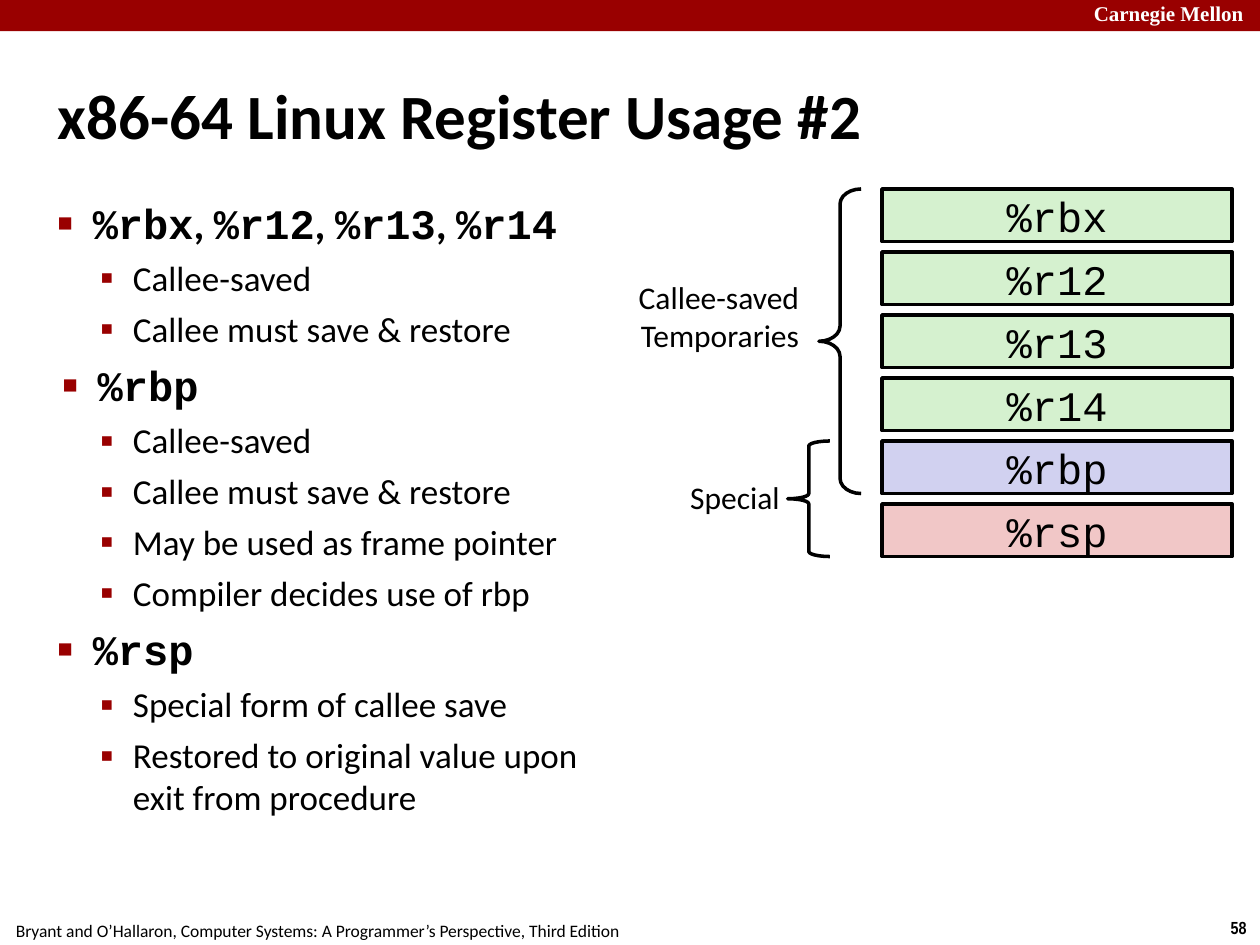
import pptx
import pptx.util
import pptx.dml.color
import pptx.enum.shapes
import pptx.enum.text
import pptx.oxml.ns
import lxml.etree

Cm, Pt = pptx.util.Cm, pptx.util.Pt
RGB = pptx.dml.color.RGBColor
SHAPE = pptx.enum.shapes.MSO_SHAPE
ALIGN = pptx.enum.text.PP_ALIGN
ANCHOR = pptx.enum.text.MSO_ANCHOR
FIT = pptx.enum.text.MSO_AUTO_SIZE

BLACK = RGB(0x00, 0x00, 0x00)
WHITE = RGB(0xFF, 0xFF, 0xFF)
RED = RGB(0x99, 0x00, 0x00)
GREEN = RGB(0xD5, 0xF1, 0xCF)
BLUE = RGB(0xD1, 0xD1, 0xF0)
PINK = RGB(0xF1, 0xC7, 0xC7)
SANS, MONO = "Calibri", "Courier New"
EDGE = 0.1

HEADS = {
    "%rbx, %r12, %r13, %r14": ["Callee-saved", "Callee must save & restore"],
    "%rbp": ["Callee-saved", "Callee must save & restore",
             "May be used as frame pointer", "Compiler decides use of rbp"],
    "%rsp": ["Special form of callee save",
             "Restored to original value upon exit from procedure"],
}
CELLS = {"%rbx": GREEN, "%r12": GREEN, "%r13": GREEN, "%r14": GREEN,
         "%rbp": BLUE, "%rsp": PINK}


def write(par, text, size=18, face=SANS, color=BLACK, bold=False, align=ALIGN.LEFT):
    """Add a formatted run to a paragraph."""
    par.alignment = align
    run = par.add_run()
    run.text = text
    run.font.size, run.font.name, run.font.bold = Pt(size), face, bold
    run.font.color.rgb = color


def pad(frame, side, end):
    """Set the side and end margins of a text frame."""
    frame.margin_left = frame.margin_right = Cm(side)
    frame.margin_top = frame.margin_bottom = Cm(end)


def place(shape, box):
    """Move a shape to a box given in centimetres."""
    shape.left, shape.top, shape.width, shape.height = map(Cm, box)


def label(slide, box, lines, side=EDGE, end=EDGE, wrap=False, **form):
    """Add a text box with one paragraph for each line."""
    frame = slide.shapes.add_textbox(*map(Cm, box)).text_frame
    pad(frame, side, end)
    frame.word_wrap = wrap
    for i, line in enumerate(lines):
        par = frame.add_paragraph() if i else frame.paragraphs[0]
        write(par, line, **form)


def block(slide, kind, box, fill=None, edge=True):
    """Add a flat shape with an optional fill and black outline."""
    shape = slide.shapes.add_shape(kind, *map(Cm, box))
    shape.shadow.inherit = False
    if fill is None:
        shape.fill.background()
    else:
        shape.fill.solid()
        shape.fill.fore_color.rgb = fill
    if edge:
        shape.line.color.rgb, shape.line.width = BLACK, Pt(2)
    else:
        shape.line.fill.background()
    return shape


def indent(par, left, hang):
    """Set the left margin and hanging indent of a paragraph."""
    props = par._p.get_or_add_pPr()
    props.set("marL", str(Cm(left)))
    props.set("indent", str(-Cm(hang)))
    return props


def bullet(par, mark, size, left, hang):
    """Give a paragraph a red bullet and a hanging indent."""
    props = indent(par, left, hang)
    name = pptx.oxml.ns.qn
    tint = lxml.etree.SubElement(props, name("a:buClr"))
    lxml.etree.SubElement(tint, name("a:srgbClr"), val=str(RED))
    lxml.etree.SubElement(props, name("a:buSzPct"), val=str(size * 1000))
    lxml.etree.SubElement(props, name("a:buChar"), char=mark)


def frame_page(slide, box):
    """Draw the top bar, the source line and the page number."""
    x, y, w, h = box
    label(slide, (x + w - 0.86, y + h - 0.69, 0.86, 0.69), ["58"], 0.25, 0.13,
          size=10, face="Arial Narrow", bold=True, align=ALIGN.CENTER)
    label(slide, (x - 0.05, y + h - 0.64, 12.9, 0.69),
          ["Bryant and O’Hallaron, Computer Systems: "
           "A Programmer’s Perspective, Third Edition"],
          0.25, 0.13, size=10, align=ALIGN.CENTER)
    block(slide, SHAPE.RECTANGLE, (x, y, w, 0.63), RED, False)
    label(slide, (x + w - 3.45, y - 0.08, 3.65, 0.71), ["Carnegie Mellon"],
          wrap=True, size=12, face="Times New Roman", color=WHITE, bold=True)


def head(slide, box):
    """Fill the title placeholder."""
    shape = slide.shapes.title
    place(shape, box)
    frame = shape.text_frame
    pad(frame, EDGE, EDGE)
    frame.auto_size, frame.vertical_anchor = FIT.NONE, ANCHOR.MIDDLE
    indent(frame.paragraphs[0], 0.33, 0.33)
    write(frame.paragraphs[0], "x86-64 Linux Register Usage #2", size=36, bold=True)


def notes(slide, box):
    """Fill the body placeholder with the two-level list."""
    shape = slide.placeholders[1]
    place(shape, box)
    frame = shape.text_frame
    pad(frame, EDGE, EDGE)
    frame.auto_size, frame.vertical_anchor = FIT.NONE, ANCHOR.TOP
    for i, (names, items) in enumerate(HEADS.items()):
        par = frame.add_paragraph() if i else frame.paragraphs[0]
        bullet(par, "■", 60, 0.81 if names == "%rbp" else 0.71, 0.71)
        par.space_before = Pt(6 if i else 0)
        for j, name in enumerate(names.split(", ")):
            if j:
                write(par, ", ", size=24, bold=True)
            write(par, name, size=24, face=MONO, bold=True)
        for item in items:
            par = frame.add_paragraph()
            par.level = 1
            bullet(par, "▪", 110, 1.52, 0.66)
            par.space_before = Pt(5)
            write(par, item, size=20)


def brace(slide, box, curve):
    """Draw a left brace with the given curve ratio."""
    shape = block(slide, SHAPE.LEFT_BRACE, box)
    shape.adjustments[0] = curve


def chart(slide, box):
    """Draw the register stack with its braces and labels."""
    x, y, w, h = box
    step, tall, wide = 1.27, 1.06, 7.06
    left = x + w - wide
    for i, (name, fill) in enumerate(CELLS.items()):
        cell = block(slide, SHAPE.RECTANGLE, (left, y + i * step, wide, tall), fill)
        frame = cell.text_frame
        pad(frame, 0, 0)
        frame.vertical_anchor = ANCHOR.MIDDLE
        write(frame.paragraphs[0], name, size=24, face=MONO, align=ALIGN.CENTER)
    brace(slide, (left - 1.27, y, 0.85, 4 * step + tall), 0.36)
    brace(slide, (left - 1.9, y + 4 * step, 0.85, step + tall), 0.12)
    label(slide, (x, y + 1.7, 3.51, 1.75), ["Callee-saved", "Temporaries"],
          align=ALIGN.RIGHT)
    label(slide, (x + 1.02, y + 5.72, 2.1, 0.99), ["Special"], align=ALIGN.RIGHT)


def main():
    """Build and save the slide."""
    deck = pptx.Presentation()
    deck.slide_width, deck.slide_height = Cm(25.4), Cm(19.05)
    slide = deck.slides.add_slide(deck.slide_layouts[1])
    frame_page(slide, (0, 0, 25.4, 19.05))
    head(slide, (1.06, 0.71, 16.72, 3.17))
    notes(slide, (1.06, 3.88, 11.28, 12.22))
    chart(slide, (12.7, 3.81, 12.14, 7.41))
    deck.save("out.pptx")


if __name__ == "__main__":
    main()
